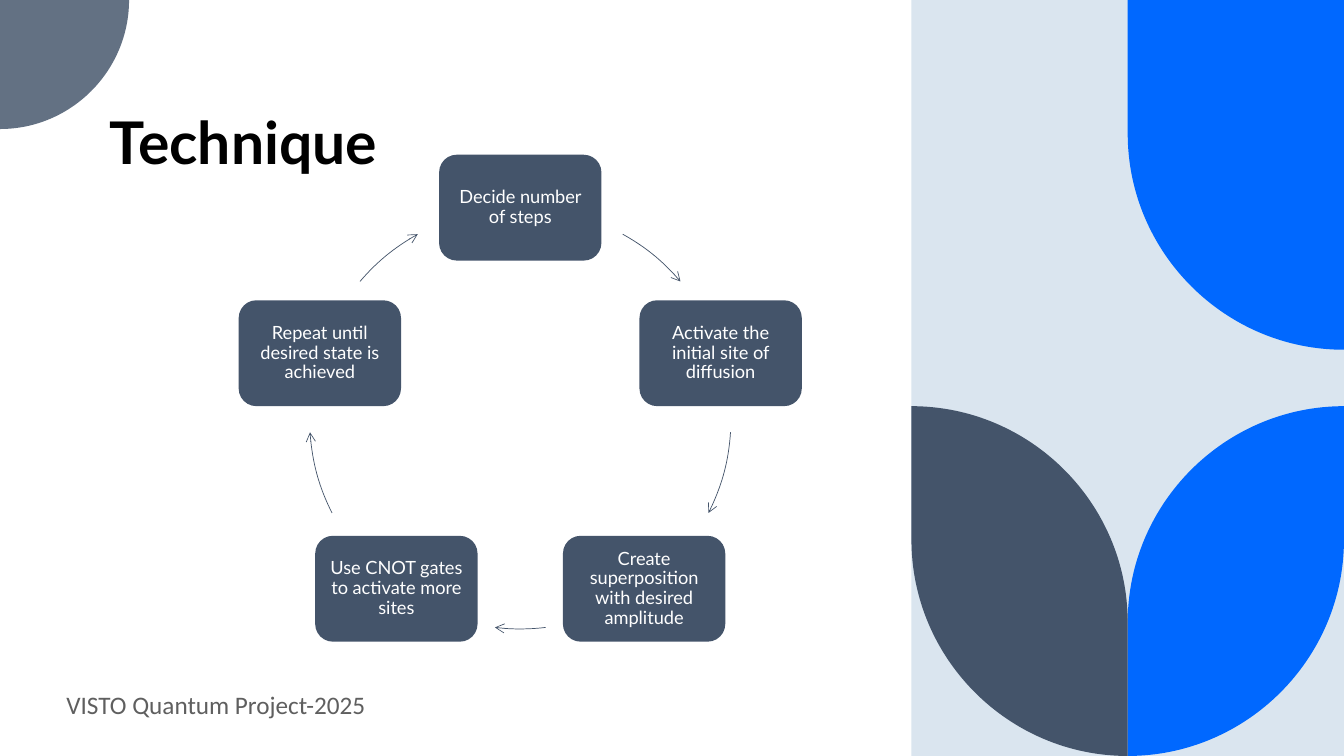
from math import cos, radians, sin

from lxml import etree
from pptx import Presentation
from pptx.dml.color import RGBColor
from pptx.enum.shapes import MSO_SHAPE as Shape
from pptx.enum.text import MSO_ANCHOR as Anchor, MSO_AUTO_SIZE as AutoSize, PP_ALIGN as Align
from pptx.oxml.ns import qn
from pptx.util import Inches, Pt

SLATE, BLUE = "44546A", "0068FF"


def paint(fill, color):
    fill.solid()
    fill.fore_color.rgb = RGBColor.from_string(color)


def round_corner(start, corner, end):
    """Control points and end of a quarter circle that rounds off a corner."""
    first, second = [tuple(a + 0.55 * (c - a) for a, c in zip(point, corner))
                     for point in (start, end)]
    return [first, second, end]


deck = Presentation()
deck.slide_width, deck.slide_height = Inches(13.33), Inches(7.5)
page = deck.slides.add_slide(deck.slide_layouts[5])

# Side panel
left, right, bottom = 9.04, 13.33, 7.5
panel = page.shapes.add_shape(Shape.RECTANGLE, Inches(left), 0, Inches(right - left), Inches(bottom))
panel.shadow.inherit = False
paint(panel.fill, "DAE5EF")
panel.line.fill.background()

# Petals and corner: a segment of one point is a line, of three a curve
radius = (right - left) / 2
middle, petal_top, drop_bottom = left + radius, 4.03, 3.47
left_petal = [
    [(left, petal_top)],
    round_corner((left, petal_top), (middle, petal_top), (middle, petal_top + radius)),
    [(middle, bottom)],
    round_corner((middle, bottom), (left, bottom), (left, bottom - radius)),
]
right_petal = [[(2 * middle - x, y) for x, y in segment] for segment in left_petal]
drop = [
    [(middle, 0)], [(right, 0)], [(right, drop_bottom)],
    round_corner((right, drop_bottom), (middle, drop_bottom), (middle, drop_bottom - radius)),
]
corner_piece = [[(0, 0)], [(1.28, 0)], round_corner((1.28, 0), (1.28, 1.28), (0, 1.28))]
outlines = [(right_petal, BLUE), (left_petal, SLATE), (corner_piece, "637183"), (drop, BLUE)]
for segments, color in outlines:
    points = [(Inches(x), Inches(y)) for segment in segments for x, y in segment]
    builder = page.shapes.build_freeform(*points[0])
    builder.add_line_segments(points[1:], close=True)
    petal = builder.convert_to_shape()
    petal.shadow.inherit = False
    paint(petal.fill, color)
    petal.line.fill.background()
    lines = list(petal._element.iter(qn("a:lnTo")))
    for segment in segments[1:]:
        used, lines = lines[:len(segment)], lines[len(segment):]
        if len(segment) == 3:
            curve = etree.Element(qn("a:cubicBezTo"))
            used[0].addprevious(curve)
            for line in used:
                curve.append(line[0])
                line.getparent().remove(line)

# Cycle of steps, each followed by an arc arrow
center_x, center_y, ring = 5.16, 4.15, 2.09
box_width, box_height = 1.61, 1.05
steps = [
    ("Decide number of steps", 299.1, 319.5),
    ("Activate the initial site of diffusion", 3.8, 26.7),
    ("Create superposition with desired amplitude", 83.1, 96.9),
    ("Use CNOT gates to activate more sites", 153.3, 176.2),
    ("Repeat until desired state is achieved", 220.5, 240.9),
]
for index, (label, arc_start, arc_end) in enumerate(steps):
    angle = radians(index * 360 / len(steps) - 90)
    box = page.shapes.add_shape(
        Shape.ROUNDED_RECTANGLE,
        Inches(center_x + ring * cos(angle) - box_width / 2),
        Inches(center_y + ring * sin(angle) - box_height / 2),
        Inches(box_width), Inches(box_height))
    box.shadow.inherit = False
    paint(box.fill, SLATE)
    box.line.fill.background()
    frame = box.text_frame
    frame.word_wrap = True
    frame.vertical_anchor = Anchor.MIDDLE
    frame.margin_left = frame.margin_right = Inches(0.05)
    frame.margin_top = frame.margin_bottom = Inches(0.05)
    para = frame.paragraphs[0]
    para.text = label
    para.alignment = Align.CENTER
    para.line_spacing = 0.9
    para.font.name, para.font.size = "Lato", Pt(13)
    paint(para.font.fill, "FFFFFF")

    arc = page.shapes.add_shape(Shape.ARC, Inches(center_x - ring), Inches(center_y - ring),
                                Inches(2 * ring), Inches(2 * ring))
    arc.shadow.inherit = False
    # Angles are stored in 60000ths of a degree, adjustments in 100000ths
    arc.adjustments[0], arc.adjustments[1] = arc_start * 0.6, arc_end * 0.6
    arc.fill.background()
    paint(arc.line.fill, SLATE)
    arc.line.width = Pt(0.5)
    etree.SubElement(arc.line._get_or_add_ln(), qn("a:tailEnd"), type="arrow")

# Title
title = page.shapes.title
title.left, title.top, title.width, title.height = Inches(0.99), Inches(0.56), Inches(10.29), Inches(1.23)
title.text_frame.auto_size = AutoSize.NONE
title.text_frame.vertical_anchor = Anchor.BOTTOM
para = title.text_frame.paragraphs[0]
para.text = "Technique"
para.alignment = Align.LEFT
para.line_spacing = 0.8
para.font.name, para.font.size, para.font.bold = "Lato", Pt(42), True
paint(para.font.fill, "000000")

# Footer
footer = page.shapes.add_textbox(Inches(0.56), Inches(6.79), Inches(6.67), Inches(0.4))
footer.text_frame.word_wrap = True
footer.text_frame.auto_size = AutoSize.SHAPE_TO_FIT_TEXT
para = footer.text_frame.paragraphs[0]
para.text = "VISTO Quantum Project-2025"
para.font.name, para.font.size = "Calibri", Pt(18)
paint(para.font.fill, "5F5F5F")

deck.save("out.pptx")
